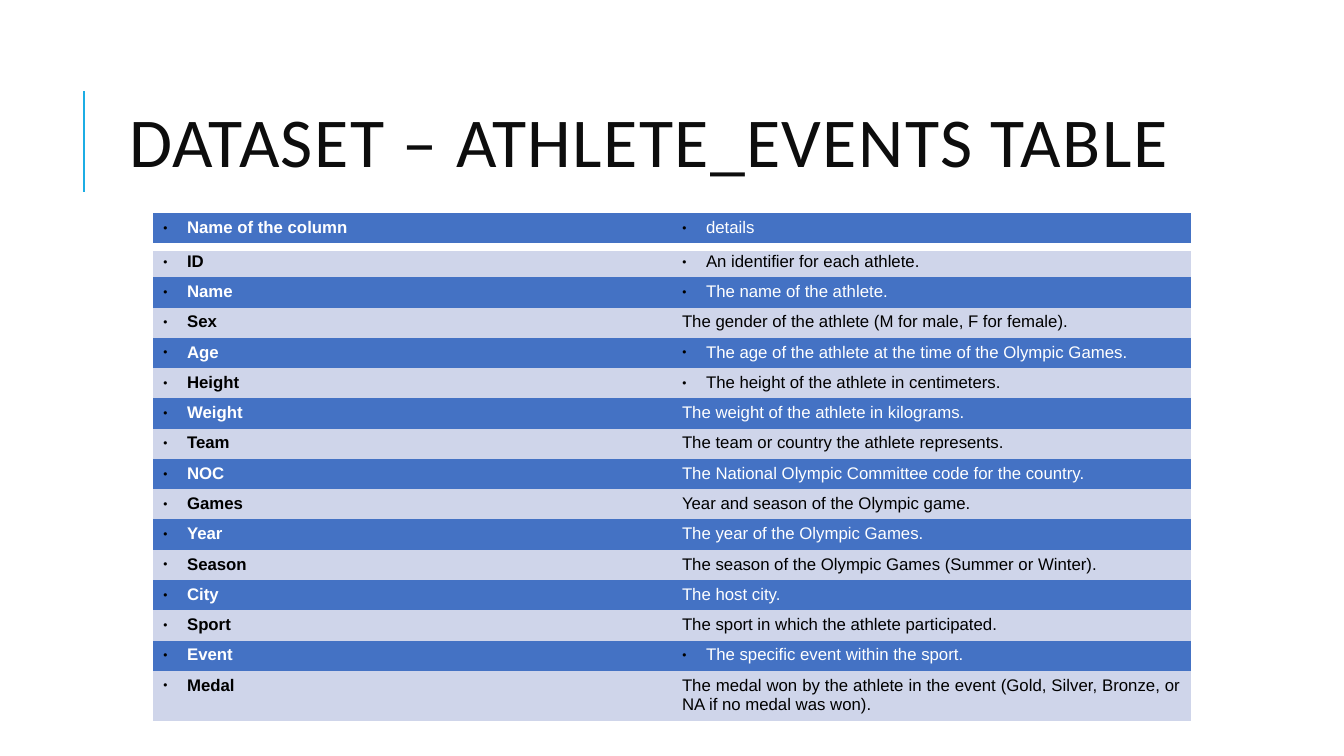
from lxml import etree
from pptx import Presentation
from pptx.dml.color import RGBColor
from pptx.enum.shapes import MSO_CONNECTOR
from pptx.enum.text import MSO_ANCHOR, PP_ALIGN
from pptx.oxml.ns import qn
from pptx.util import Emu, Pt

STRAIGHT = MSO_CONNECTOR.STRAIGHT
MIDDLE = MSO_ANCHOR.MIDDLE
CENTER, JUSTIFY = PP_ALIGN.CENTER, PP_ALIGN.JUSTIFY

PX_PER_INCH = 100.8
PLAIN_TABLE_STYLE = "{2D5ABB26-0587-4C30-8999-92F81FD0307C}"
COLORS = {"accent": "1CADE4", "title": "0D0D0D", "blue": "4472C4",
          "pale": "CFD5EA", "white": "FFFFFF", "black": "000000"}

# column name, details, whether the details carry a bullet
ROWS = [
    ("Name of the column", "details", True),
    ("ID", "An identifier for each athlete.", True),
    ("Name", "The name of the athlete.", True),
    ("Sex", "The gender of the athlete (M for male, F for female).", False),
    ("Age", "The age of the athlete at the time of the Olympic Games.", True),
    ("Height", "The height of the athlete in centimeters.", True),
    ("Weight", "The weight of the athlete in kilograms.", False),
    ("Team", "The team or country the athlete represents.", False),
    ("NOC", "The National Olympic Committee code for the country.", False),
    ("Games", "Year and season of the Olympic game.", False),
    ("Year", "The year of the Olympic Games.", False),
    ("Season", "The season of the Olympic Games (Summer or Winter).", False),
    ("City", "The host city.", False),
    ("Sport", "The sport in which the athlete participated.", False),
    ("Event", "The specific event within the sport.", True),
    ("Medal", "The medal won by the athlete in the event "
              "(Gold, Silver, Bronze, or NA if no medal was won).", False),
]


def px(n):
    return Emu(round(n * 914400 / PX_PER_INCH))


def rgb(name):
    return RGBColor.from_string(COLORS[name])


def add_xml(parent, tag, **attrs):
    return etree.SubElement(parent, qn(tag), attrs)


class SlideBuilder:
    TITLE = {"name": "Calibri", "size": Pt(50), "bold": False}
    BODY = {"name": "Arial", "size": Pt(12)}

    def __init__(self, prs):
        self.s = prs.slides.add_slide(prs.slide_layouts[6])

    def run(self, p, text, color, **style):
        r = p.add_run()
        r.text = text
        for key, value in style.items():
            setattr(r.font, key, value)
        r.font.color.rgb = rgb(color)
        return r

    def line(self, x1, y1, x2, y2, color, width):
        c = self.s.shapes.add_connector(STRAIGHT, px(x1), px(y1), px(x2), px(y2))
        c.line.color.rgb = rgb(color)
        c.line.width = Pt(width)
        add_xml(c._element.spPr, "a:effectLst")

    def title(self, x, y, w, h, text):
        tf = self.s.shapes.add_textbox(px(x), px(y), px(w), px(h)).text_frame
        frame = {"word_wrap": True, "vertical_anchor": MIDDLE,
                 "margin_left": 0, "margin_right": 0}
        for key, value in frame.items():
            setattr(tf, key, value)
        p = tf.paragraphs[0]
        p.alignment, p.line_spacing = CENTER, 0.8
        r = self.run(p, text, "title", **self.TITLE)
        r.font._element.set("spc", "100")

    def bullet(self, p, indent):
        pPr = p._p.get_or_add_pPr()
        pPr.set("marL", str(px(indent)))
        pPr.set("indent", str(-px(indent)))
        add_xml(add_xml(pPr, "a:buClr"), "a:srgbClr", val=COLORS["black"])
        add_xml(pPr, "a:buSzPct", val="45000")
        add_xml(pPr, "a:buFont", typeface="Arial")
        add_xml(pPr, "a:buChar", char="●")

    def bottom_border(self, cell, color, width):
        tcPr = cell._tc.get_or_add_tcPr()
        ln = add_xml(tcPr, "a:lnB", w=str(Pt(width)))
        add_xml(add_xml(ln, "a:solidFill"), "a:srgbClr", val=COLORS[color])
        tcPr.insert(0, ln)  # borders precede the fill

    def cell(self, cell, text, fill, color, bold, bulleted):
        cell.fill.solid()
        cell.fill.fore_color.rgb = rgb(fill)
        p = cell.text_frame.paragraphs[0]
        p.alignment = JUSTIFY
        if bulleted:
            self.bullet(p, 24)
        self.run(p, text, color, bold=bold, **self.BODY)

    def table(self, x, y, w, rows, heights):
        tb = self.s.shapes.add_table(len(rows), 2, px(x), px(y), px(w),
                                     px(sum(heights))).table
        tb._tbl.tblPr.find(qn("a:tableStyleId")).text = PLAIN_TABLE_STYLE
        tb.first_row = tb.horz_banding = False
        for column in tb.columns:
            column.width = px(w / 2)
        for i, (name, details, bulleted) in enumerate(rows):
            tb.rows[i].height = px(heights[i])
            fill, color = ("pale", "black") if i % 2 else ("blue", "white")
            self.cell(tb.cell(i, 0), name, fill, color, True, True)
            self.cell(tb.cell(i, 1), details, fill, color, False, bulleted)
        for j in range(2):
            self.bottom_border(tb.cell(0, j), "white", 6)


def main():
    prs = Presentation()
    prs.slide_width, prs.slide_height = px(1344), px(756)
    b = SlideBuilder(prs)
    b.line(84, 192, 84, 91, "accent", 1.5)
    b.title(113, 65, 1072, 165, "DATASET – ATHLETE_EVENTS TABLE")
    b.table(153, 213, 1038, ROWS, [34] + [30] * (len(ROWS) - 2) + [50])
    prs.save("out.pptx")


if __name__ == "__main__":
    main()
